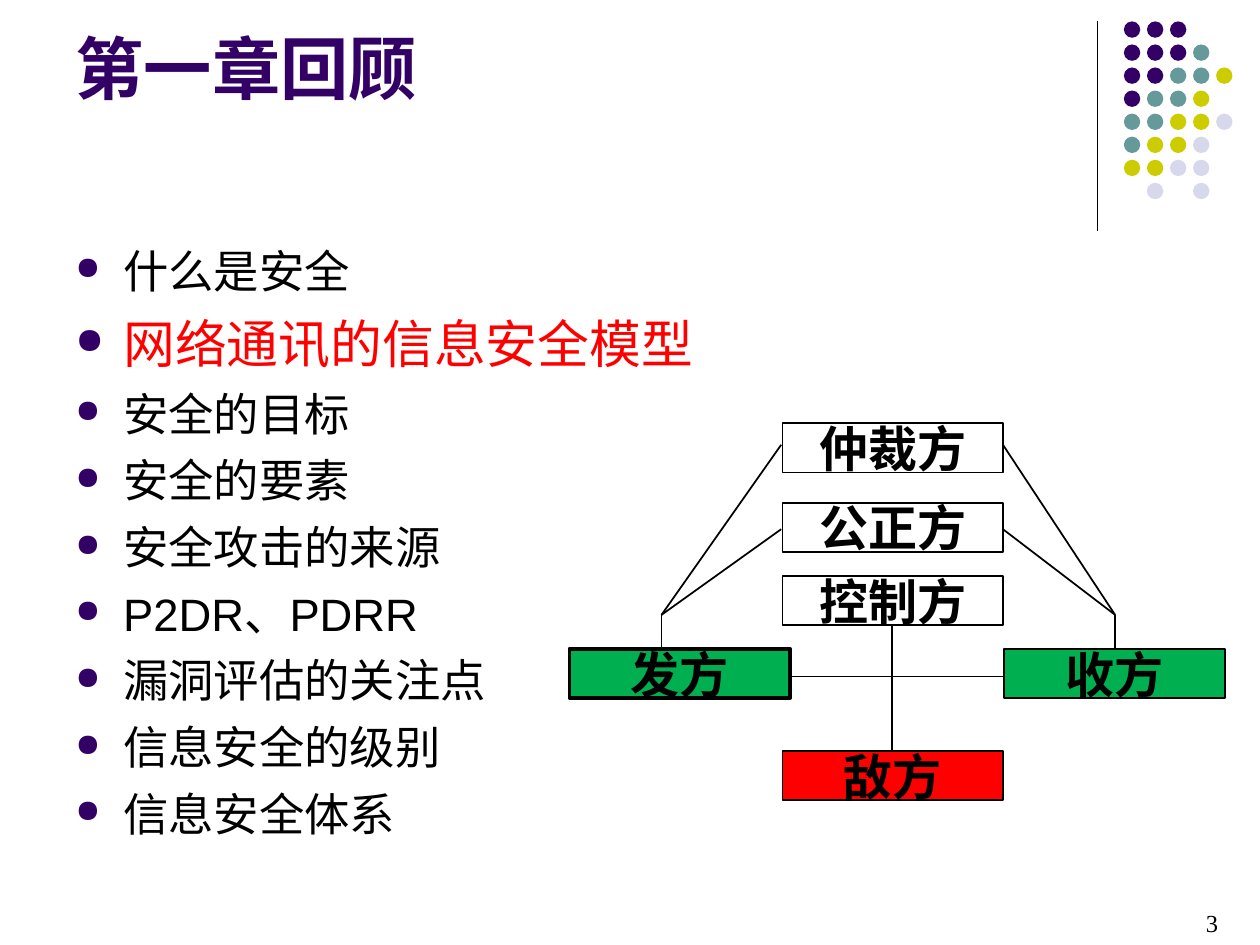
from lxml import etree
from pptx import Presentation
from pptx import util as u
from pptx.dml.color import RGBColor
from pptx.enum import shapes, text
from pptx.oxml.ns import qn

BLACK = RGBColor(0x00, 0x00, 0x00)
WHITE = RGBColor(0xFF, 0xFF, 0xFF)
RED = RGBColor(0xFF, 0x00, 0x00)
GREEN = RGBColor(0x00, 0xB0, 0x50)
PURPLE = RGBColor(0x33, 0x00, 0x66)
TEAL = RGBColor(0x66, 0x99, 0x99)
OLIVE = RGBColor(0xCC, 0xCC, 0x00)
LAVENDER = RGBColor(0xD8, 0xD8, 0xEC)

DOT_COLOURS = {"P": PURPLE, "T": TEAL, "O": OLIVE, "L": LAVENDER}
DOT_ROWS = ["PPP", "PPPT", "PPTTO", "PTTO", "TTOOL", "TOOL", "OOLL", " L L"]

TOPICS = [
    "什么是安全",
    "网络通讯的信息安全模型",
    "安全的目标",
    "安全的要素",
    "安全攻击的来源",
    "P2DR、PDRR",
    "漏洞评估的关注点",
    "信息安全的级别",
    "信息安全体系",
]
CURRENT_TOPIC = "网络通讯的信息安全模型"

PARTIES = [
    ("仲裁方", 6.21, 3.36, WHITE, 1),
    ("公正方", 6.21, 3.99, WHITE, 1),
    ("控制方", 6.21, 4.57, WHITE, 1),
    ("发方", 4.52, 5.15, GREEN, 2.25),
    ("收方", 7.97, 5.15, GREEN, 1),
    ("敌方", 6.21, 5.96, RED, 1),
]


def format_runs(paragraph, size, colour, bold=False, name="Arial"):
    """Apply one font to every run of a paragraph."""
    for run in paragraph.runs:
        run.font.name = name
        run.font.size = u.Pt(size)
        run.font.bold = bold
        run.font.color.rgb = colour


def add_line(slide, start, end, width=1):
    """Draw a straight black line without a shadow."""
    points = [u.Inches(value) for value in (*start, *end)]
    line = slide.shapes.add_connector(shapes.MSO_CONNECTOR.STRAIGHT, *points)
    line.line.color.rgb = BLACK
    line.line.width = u.Pt(width)
    etree.SubElement(line._element.spPr, qn("a:effectLst"))


def add_dots(slide):
    """Draw the corner pattern of coloured dots."""
    for row, codes in enumerate(DOT_ROWS):
        for column, code in enumerate(codes):
            if code == " ":
                continue
            dot = slide.shapes.add_shape(
                shapes.MSO_SHAPE.OVAL,
                u.Inches(8.92 + 0.183 * column), u.Inches(0.17 + 0.183 * row),
                u.Inches(0.13), u.Inches(0.13))
            dot.shadow.inherit = False
            dot.fill.solid()
            dot.fill.fore_color.rgb = DOT_COLOURS[code]
            dot.line.fill.background()


def set_title(slide, title):
    """Place and format the title placeholder."""
    shape = slide.shapes.title
    shape.left, shape.top = u.Inches(0.5), u.Inches(0.13)
    shape.width, shape.height = u.Inches(8.25), u.Inches(0.78)
    frame = shape.text_frame
    frame.text = title
    frame.auto_size = text.MSO_AUTO_SIZE.NONE
    frame.vertical_anchor = text.MSO_ANCHOR.BOTTOM
    paragraph = frame.paragraphs[0]
    paragraph.alignment = text.PP_ALIGN.LEFT
    format_runs(paragraph, 39, PURPLE, bold=True)


def add_bullet(paragraph):
    """Give a paragraph a hanging purple bullet."""
    properties = paragraph._p.get_or_add_pPr()
    properties.set("marL", str(u.Inches(0.38)))
    properties.set("indent", str(-u.Inches(0.38)))
    colour = etree.SubElement(properties, qn("a:buClr"))
    etree.SubElement(colour, qn("a:srgbClr"), val=str(PURPLE))
    etree.SubElement(properties, qn("a:buSzPct"), val="70000")
    etree.SubElement(properties, qn("a:buChar"), char="●")


def add_topics(slide):
    """Write the bulleted topics with the current one highlighted."""
    box = slide.shapes.add_textbox(
        u.Inches(0.5), u.Inches(1.88), u.Inches(9), u.Inches(4.82))
    frame = box.text_frame
    frame.word_wrap = True
    frame.text = "\n".join(TOPICS)
    for paragraph in frame.paragraphs:
        current = paragraph.text == CURRENT_TOPIC
        paragraph.space_before = u.Pt(8 if current else 7)
        add_bullet(paragraph)
        format_runs(paragraph, 29.6 if current else 25.9, RED if current else BLACK)


def add_party(slide, name, left, top, fill, border):
    """Draw one labelled party of the security model."""
    shape = slide.shapes.add_shape(
        shapes.MSO_SHAPE.RECTANGLE,
        u.Inches(left), u.Inches(top), u.Inches(1.75), u.Inches(0.39))
    shape.shadow.inherit = False
    shape.fill.solid()
    shape.fill.fore_color.rgb = fill
    shape.line.color.rgb = BLACK
    shape.line.width = u.Pt(border)
    frame = shape.text_frame
    frame.text = name
    frame.word_wrap = False
    frame.vertical_anchor = text.MSO_ANCHOR.MIDDLE
    paragraph = frame.paragraphs[0]
    paragraph.alignment = text.PP_ALIGN.CENTER
    format_runs(paragraph, 28, BLACK, bold=True)


def add_model(slide):
    """Draw the parties and the lines that join them."""
    for party in PARTIES:
        add_party(slide, *party)
    for outer, inner in ((5.25, 6.2), (8.85, 7.96)):
        joint = (outer, 4.88)
        for end in ((outer, 5.15), (inner, 3.53), (inner, 4.2)):
            add_line(slide, joint, end)
    add_line(slide, (6.28, 5.37), (7.96, 5.37))
    add_line(slide, (7.08, 4.97), (7.08, 5.95))


def add_page_number(slide, number):
    """Write the page number in the bottom corner."""
    box = slide.shapes.add_textbox(
        u.Inches(9.57), u.Inches(7.21), u.Inches(0.33), u.Inches(0.23))
    frame = box.text_frame
    frame.margin_left = frame.margin_right = 0
    frame.margin_top = frame.margin_bottom = 0
    frame.word_wrap = True
    frame.text = number
    format_runs(frame.paragraphs[0], 14, BLACK, name="Times New Roman")


def main():
    """Build the chapter review slide and save it."""
    presentation = Presentation()
    presentation.slide_width = u.Inches(10)
    presentation.slide_height = u.Inches(7.5)
    slide = presentation.slides.add_slide(presentation.slide_layouts[5])
    add_line(slide, (8.71, 0.17), (8.71, 1.83), 0.75)
    add_dots(slide)
    add_page_number(slide, "3")
    set_title(slide, "第一章回顾")
    add_topics(slide)
    add_model(slide)
    presentation.save("out.pptx")


if __name__ == "__main__":
    main()
